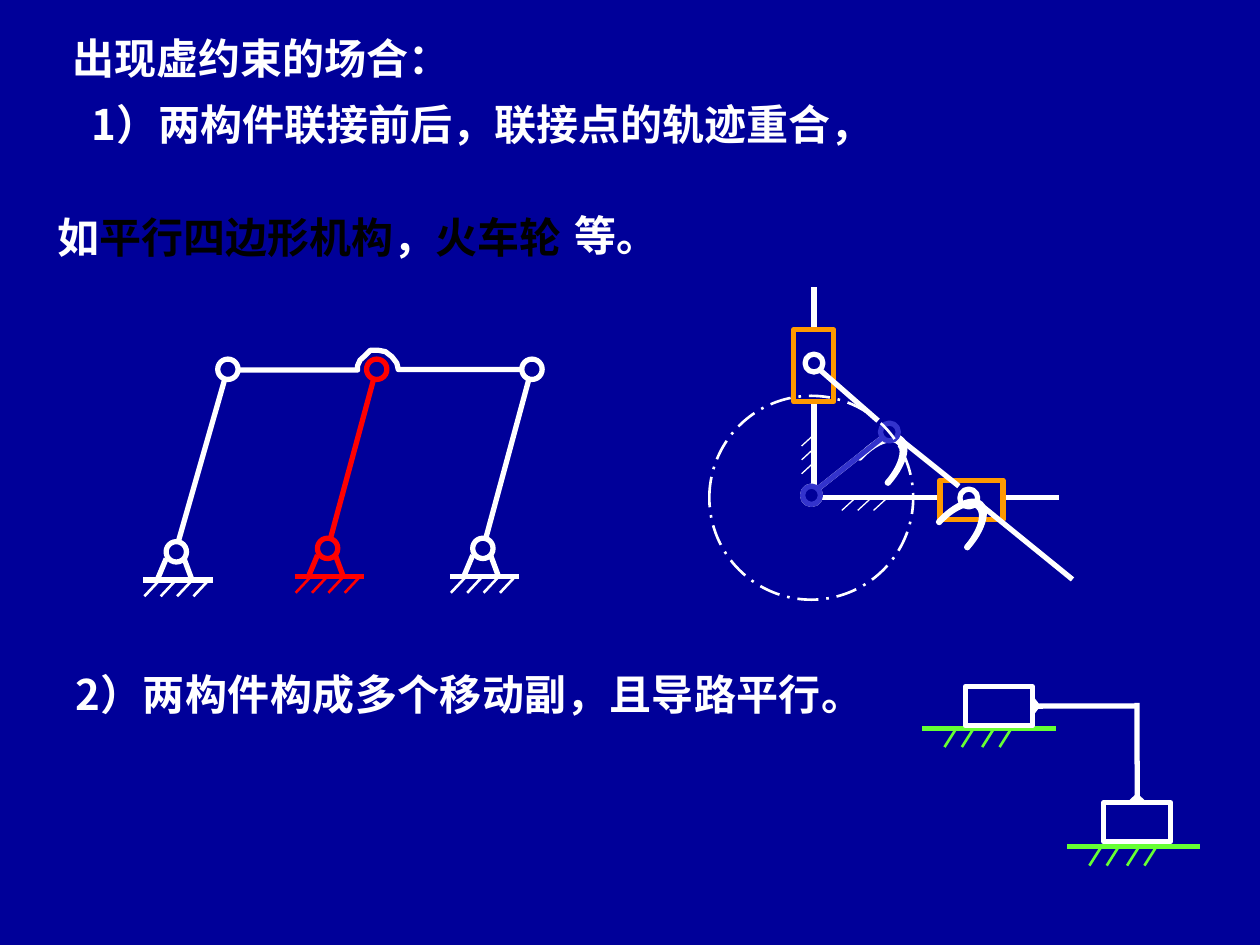
from math import cos, pi, sin

from lxml.etree import SubElement
from pptx import Presentation
from pptx.dml.color import RGBColor
from pptx.enum.dml import MSO_LINE
from pptx.enum.shapes import MSO_CONNECTOR, MSO_SHAPE
from pptx.enum.text import MSO_ANCHOR, MSO_AUTO_SIZE, PP_ALIGN
from pptx.oxml.ns import qn
from pptx.util import Cm, Pt

color = RGBColor.from_string
NAVY, WHITE, BLACK = "000099", "FFFFFF", "000000"
RED, GREEN, ORANGE, BLUE = "FF0000", "66FF33", "FF9900", "3333CC"
SANS, SERIF = "Noto Sans CJK SC", "Times New Roman"

presentation = Presentation()
presentation.slide_width, presentation.slide_height = Cm(25.4), Cm(19.05)
slide = presentation.slides.add_slide(presentation.slide_layouts[5])
slide.background.fill.solid()
slide.background.fill.fore_color.rgb = color(NAVY)
shapes = slide.shapes


def draw_line(x1, y1, x2, y2, line_color=WHITE, width=3):
    connector = shapes.add_connector(MSO_CONNECTOR.STRAIGHT, Cm(x1), Cm(y1), Cm(x2), Cm(y2))
    connector.line.color.rgb = color(line_color)
    connector.line.width = Pt(width)
    SubElement(connector._element.spPr, qn("a:effectLst"))
    return connector


def style_shape(shape, line_color=WHITE, fill=None, width=3):
    shape.shadow.inherit = False
    shape.line.color.rgb = color(line_color)
    shape.line.width = Pt(width)
    if fill:
        shape.fill.solid()
        shape.fill.fore_color.rgb = color(fill)
    else:
        shape.fill.background()
    return shape


for step in range(3):
    wall_y, floor_x = 8.76 + 0.28 * step, 17.22 + 0.32 * step
    draw_line(16.41, wall_y, 16.16, wall_y + 0.23, width=0.75)
    draw_line(floor_x, 10.06, floor_x - 0.25, 10.29, width=0.75)
draw_line(16.41, 10.03, 21.34, 10.03)
draw_line(16.41, 5.79, 16.41, 10.08)
for x, y, width, height in [(18.95, 9.68, 1.27, 0.79), (16, 6.65, 0.81, 1.45)]:
    slider = shapes.add_shape(MSO_SHAPE.RECTANGLE, Cm(x), Cm(y), Cm(width), Cm(height))
    style_shape(slider, ORANGE, NAVY)
for x, y in [(19.35, 9.86), (16.23, 7.14)]:
    style_shape(shapes.add_shape(MSO_SHAPE.OVAL, Cm(x), Cm(y), Cm(0.36), Cm(0.36)), WHITE, NAVY)

angles = [pi * step / 24 for step in range(25)]
arch = [(-0.39 * cos(a), 0.42 - 0.84 * sin(a)) for a in angles]
arch += [(0.37 * cos(a), 0.42 - 0.76 * sin(a)) for a in angles]
for center_x, center_y in [(17.89, 9.17), (19.49, 10.47)]:
    points = [(Cm(center_x + x), Cm(center_y + y)) for x, y in arch]
    builder = shapes.build_freeform(*points[0], scale=1.0)
    builder.add_line_segments(points[1:], close=True)
    crescent = style_shape(builder.convert_to_shape(), WHITE, NAVY)
    crescent.rotation = 41.8
for rod in [(16.51, 7.44, 17.7, 8.48), (18.19, 8.89, 19.33, 9.8), (19.81, 10.21, 21.62, 11.68)]:
    draw_line(*rod)

for crank_color in (WHITE, BLUE):
    draw_line(16.48, 9.86, 17.93, 8.71, crank_color)
    crank_pivot = shapes.add_shape(MSO_SHAPE.OVAL, Cm(16.18), Cm(9.8), Cm(0.36), Cm(0.37))
    style_shape(crank_pivot, crank_color, NAVY)
crank_pin = shapes.add_shape(MSO_SHAPE.OVAL, Cm(17.75), Cm(8.53), Cm(0.36), Cm(0.36))
style_shape(crank_pin, BLUE, NAVY)
orbit = shapes.add_shape(MSO_SHAPE.OVAL, Cm(14.3), Cm(7.98), Cm(4.11), Cm(4.11))
style_shape(orbit, width=1.5).line.dash_style = MSO_LINE.LONG_DASH_DOT

blocks = []
for guide_x, guide_y, block_x, block_y in [(18.59, 14.68, 19.46, 13.84), (21.51, 17.07, 22.25, 16.18)]:
    draw_line(guide_x, guide_y, guide_x + 2.69, guide_y, GREEN)
    for offset in (0.69, 1.04, 1.45, 1.8):
        x = guide_x + offset
        draw_line(x, guide_y, x - 0.24, guide_y + 0.38, GREEN, 1.5)
    block = shapes.add_shape(MSO_SHAPE.RECTANGLE, Cm(block_x), Cm(block_y), Cm(1.35), Cm(0.79))
    blocks.append(style_shape(block, WHITE, NAVY))
draw_line(20.81, 14.23, 22.92, 14.23).begin_connect(blocks[0], 3)
draw_line(22.92, 16.18, 22.92, 14.17).begin_connect(blocks[1], 0)
for side in (-0.13, 0.13):
    draw_line(20.81, 14.23 + side, 20.91, 14.23)
    draw_line(22.92 + side, 16.18, 22.92, 16.06)

coupler_points = [(4.83, 7.46), (7.21, 7.46), (7.21, 7.37), (7.26, 7.26), (7.37, 7.16), (7.47, 7.06),
                  (7.62, 7.06), (7.77, 7.09), (7.9, 7.19), (8, 7.32), (8.03, 7.45), (10.52, 7.45)]
coupler_points = [(Cm(x), Cm(y)) for x, y in coupler_points]
builder = shapes.build_freeform(*coupler_points[0], scale=1.0)
builder.add_line_segments(coupler_points[1:], close=False)
style_shape(builder.convert_to_shape())

for joint_x, pivot_x, pivot_y, link_color in [
    (4.39, 3.35, 10.92, WHITE), (7.39, 6.4, 10.85, RED), (10.52, 9.53, 10.85, WHITE)
]:
    for x, y in [(joint_x, 7.24), (pivot_x, pivot_y)]:
        style_shape(shapes.add_shape(MSO_SHAPE.OVAL, Cm(x), Cm(y), Cm(0.41), Cm(0.41)), link_color)
    ground_y = pivot_y + 0.77
    draw_line(pivot_x + 0.25, 10.9, joint_x + 0.14, 7.65, link_color)
    draw_line(pivot_x - 0.46, ground_y, pivot_x + 0.94, ground_y, link_color)
    draw_line(pivot_x, pivot_y + 0.34, pivot_x - 0.18, ground_y, link_color)
    draw_line(pivot_x + 0.36, pivot_y + 0.34, pivot_x + 0.52, ground_y, link_color)
    for step in range(4):
        x = pivot_x - 0.13 + 0.33 * step
        draw_line(x, ground_y, x - 0.31, ground_y + 0.33, link_color, 1.5)

texts = [
    (shapes.title, (1.22, 0.53, 22.96, 2.59), SANS, [
        (1.0, 0, [("出现虚约束的场合：", WHITE)]),
        (1.3, 0.38, [("1）两构件联接前后，联接点的轨迹重合，", WHITE)])]),
    (None, (1.27, 13.34, 15.54, 2.29), SANS, [
        (1.0, 0, [("2）两构件构成多个移动副，且导路平行。", WHITE)])]),
    (None, (0.91, 4.14, 13.82, 1.27), SERIF, [
        (1.0, 0, [("如", WHITE), ("平行四边形机构", BLACK), ("，", WHITE), ("火车轮", BLACK)])]),
    (None, (11.33, 4.09, 9.32, 1.27), SERIF, [(1.0, 0, [("等。", WHITE)])]),
]
for placeholder, box, font_name, paragraphs in texts:
    left, top, width, height = [Cm(value) for value in box]
    shape = placeholder or shapes.add_textbox(left, top, width, height)
    frame_format = {"left": left, "top": top, "width": width, "height": height}
    for name, value in frame_format.items():
        setattr(shape, name, value)
    frame = shape.text_frame
    text_format = {"word_wrap": True, "auto_size": MSO_AUTO_SIZE.SHAPE_TO_FIT_TEXT,
                   "vertical_anchor": MSO_ANCHOR.TOP, "margin_left": Cm(0.25),
                   "margin_right": Cm(0.25), "margin_top": Cm(0.13), "margin_bottom": Cm(0.13)}
    for name, value in text_format.items():
        setattr(frame, name, value)
    for index, (spacing, indent, runs) in enumerate(paragraphs):
        paragraph = frame.add_paragraph() if index else frame.paragraphs[0]
        paragraph.alignment = PP_ALIGN.JUSTIFY
        paragraph.line_spacing = spacing
        if indent:
            paragraph._p.get_or_add_pPr().set("marL", str(Cm(indent)))
        for text, text_color in runs:
            run = paragraph.add_run()
            run.text = text
            for name, value in {"size": Pt(24), "bold": True, "name": font_name}.items():
                setattr(run.font, name, value)
            run.font.color.rgb = color(text_color)
            SubElement(run._r.get_or_add_rPr(), qn("a:ea")).set("typeface", SANS)

presentation.save("out.pptx")
